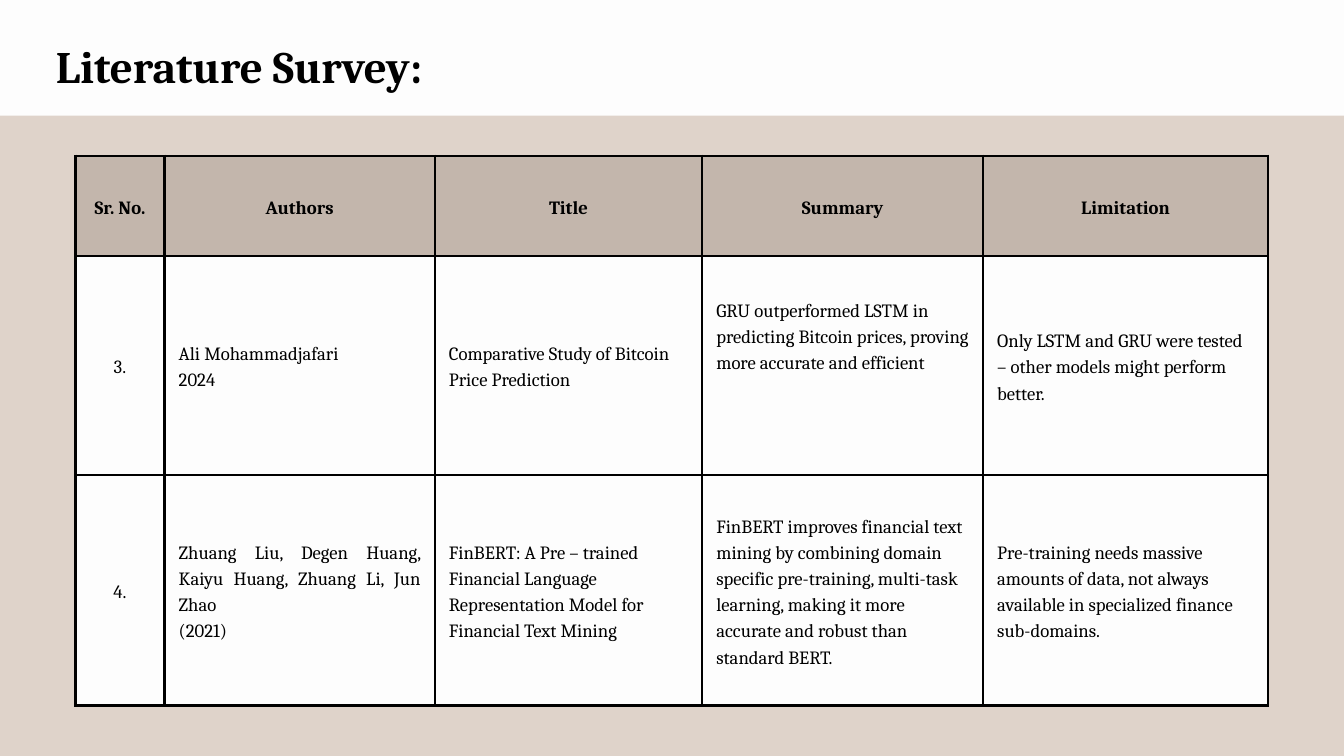
from lxml.etree import SubElement
from pptx import Presentation
from pptx.dml.color import RGBColor
from pptx.enum.shapes import MSO_SHAPE
from pptx.enum.text import MSO_ANCHOR, PP_ALIGN
from pptx.oxml import parse_xml
from pptx.oxml.ns import nsdecls, qn
from pptx.util import Inches, Pt

COLORS = {"paper": "FDFDFD", "sand": "DFD3CA", "header": "C3B6AC", "ink": "000000"}
FONT = "Cambria"

TITLE = "Literature Survey:"
HEADERS = ["Sr. No.", "Authors", "Title", "Summary", "Limitation"]
STUDIES = [
    [
        "3.",
        "Ali Mohammadjafari\n2024",
        "Comparative Study of Bitcoin Price Prediction",
        "GRU outperformed LSTM in predicting Bitcoin prices, proving more accurate and efficient",
        "Only LSTM and GRU were tested – other models might perform better.",
    ],
    [
        "4.",
        "Zhuang Liu, Degen Huang, Kaiyu Huang, Zhuang Li, Jun Zhao\n(2021)",
        "FinBERT: A Pre – trained Financial Language Representation Model for "
        "Financial Text Mining",
        "FinBERT improves financial text mining by combining domain specific pre-training, "
        "multi-task learning, making it more accurate and robust than standard BERT.",
        "Pre-training needs massive amounts of data, not always available in "
        "specialized finance sub-domains.",
    ],
]
COLUMN_WIDTHS = [1.33, 4.02, 3.98, 4.18, 4.24]
ROW_HEIGHTS = [1.49, 3.26, 3.43]
CELL_MARGIN = 0.21
LINE_SPACING = 28
JUSTIFIED_CELL = (2, 1)
TOP_CELL = (1, 3)  # its text starts one line below the top margin


def color(name):
    return RGBColor.from_string(COLORS[name])


def write_text(frame, text, size=20, bold=False, align=PP_ALIGN.LEFT, spacing=LINE_SPACING):
    frame.word_wrap = True
    for index, line in enumerate(text.split("\n")):
        paragraph = frame.paragraphs[0] if index == 0 else frame.add_paragraph()
        paragraph.alignment = align
        paragraph.line_spacing = Pt(spacing)
        run = paragraph.add_run()
        run.text = line
        run.font.name = FONT
        run.font.size = Pt(size)
        run.font.bold = bold
        run.font.color.rgb = color("ink")


def add_borders(cell, width=3):
    properties = cell._tc.get_or_add_tcPr()
    for index, side in enumerate(("lnL", "lnR", "lnT", "lnB")):
        line = parse_xml(f'<a:{side} {nsdecls("a")} w="{Pt(width)}"/>')
        fill = SubElement(line, qn("a:solidFill"))
        SubElement(fill, qn("a:srgbClr"), val=COLORS["ink"])
        properties.insert(index, line)


def add_survey_table(slide):
    rows = [HEADERS] + STUDIES
    table = slide.shapes.add_table(
        len(rows), len(HEADERS), Inches(1.12), Inches(2.32),
        Inches(sum(COLUMN_WIDTHS)), Inches(sum(ROW_HEIGHTS)),
    ).table
    for column, width in zip(table.columns, COLUMN_WIDTHS):
        column.width = Inches(width)
    for row, height in zip(table.rows, ROW_HEIGHTS):
        row.height = Inches(height)

    for row_index, row in enumerate(rows):
        for column_index, text in enumerate(row):
            cell = table.cell(row_index, column_index)
            position = (row_index, column_index)
            is_header = row_index == 0
            cell.margin_left = cell.margin_right = Inches(CELL_MARGIN)
            cell.margin_top = cell.margin_bottom = Inches(CELL_MARGIN)
            cell.vertical_anchor = MSO_ANCHOR.MIDDLE
            if position == TOP_CELL:
                cell.vertical_anchor = MSO_ANCHOR.TOP
                cell.margin_top = Inches(CELL_MARGIN) + Pt(LINE_SPACING)
            cell.fill.solid()
            cell.fill.fore_color.rgb = color("header" if is_header else "paper")
            add_borders(cell)

            align = PP_ALIGN.LEFT
            if is_header or column_index == 0:
                align = PP_ALIGN.CENTER
            elif position == JUSTIFIED_CELL:
                align = PP_ALIGN.JUSTIFY
            write_text(cell.text_frame, text, bold=is_header, align=align)


def main():
    presentation = Presentation()
    presentation.slide_width = Inches(20)
    presentation.slide_height = Inches(11.25)
    slide = presentation.slides.add_slide(presentation.slide_layouts[6])
    slide.background.fill.solid()
    slide.background.fill.fore_color.rgb = color("paper")

    band_top = Inches(1.72)
    band = slide.shapes.add_shape(
        MSO_SHAPE.RECTANGLE, 0, band_top,
        presentation.slide_width, presentation.slide_height - band_top,
    )
    band.shadow.inherit = False
    band.fill.solid()
    band.fill.fore_color.rgb = color("sand")
    band.line.fill.background()

    add_survey_table(slide)

    title = slide.shapes.add_textbox(Inches(0.64), Inches(0.44), Inches(5.84), Inches(0.89))
    frame = title.text_frame
    frame.margin_left = frame.margin_right = frame.margin_top = frame.margin_bottom = 0
    write_text(frame, TITLE, size=48.2, bold=True, align=PP_ALIGN.CENTER, spacing=67.4)

    presentation.save("out.pptx")


if __name__ == "__main__":
    main()
